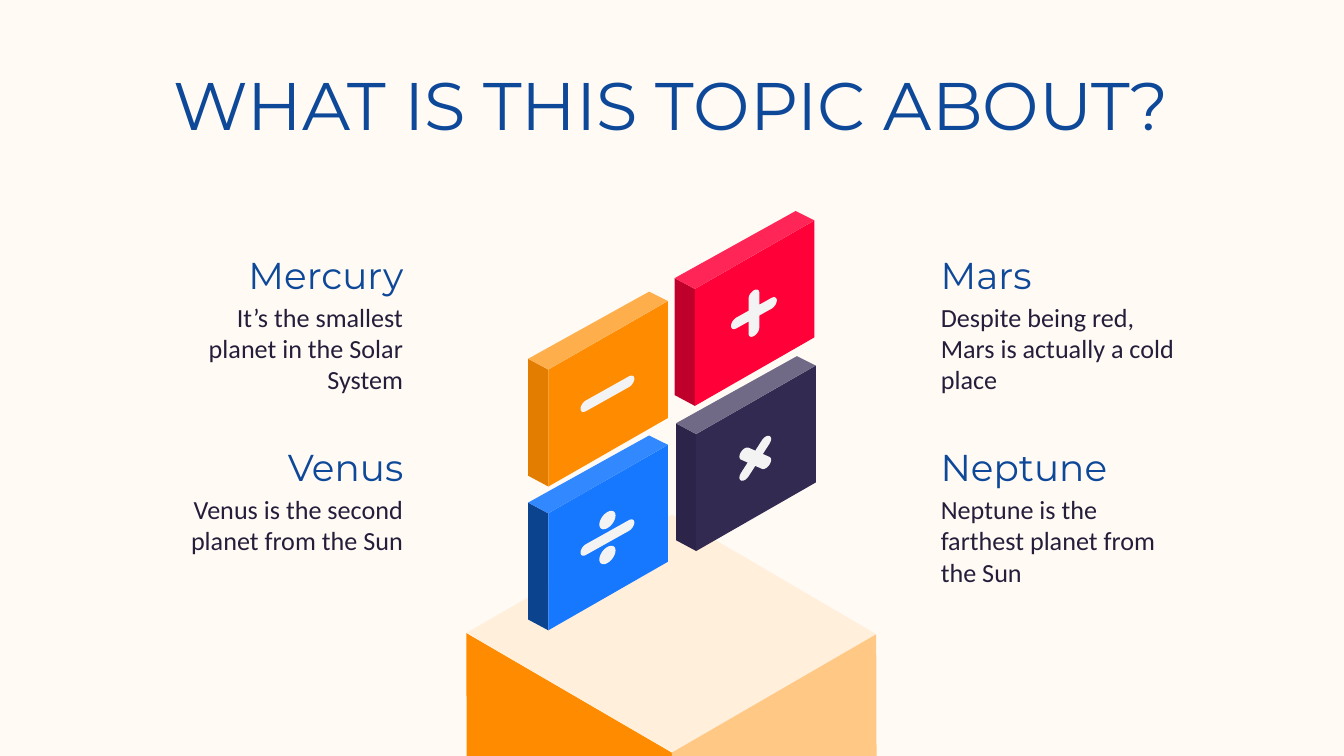
from math import cos, hypot, pi, sin

from lxml.etree import SubElement
from pptx import Presentation
from pptx.dml.color import RGBColor
from pptx.enum.text import MSO_ANCHOR as Anchor, MSO_AUTO_SIZE as AutoSize, PP_ALIGN as Align
from pptx.oxml.ns import qn
from pptx.util import Inches, Pt

SLIDE_W, SLIDE_H = 10, 5.625
BACKGROUND, NAVY, INK, SYMBOL = "FFFAF4", "0D4899", "251E3B", "F3F3F4"
ISO_SLOPE = 0.56      # rise of the tile face per unit of width
STROKE = 0.04         # half the thickness of a symbol's bar
HEADING_DROP = 0.25   # from a heading's top to its description's top

# Eight corners of the plinth and of a tile, relative to their box
PLINTH_FACES = {
    "left": [(0.01, 4.43), (0, 0.88), (1.53, 1.77), (1.53, 4.43)],
    "top": [(1.53, 1.77), (0, 0.88), (1.53, 0), (3.05, 0.89)],
    "right": [(3.05, 0.89), (3.06, 4.43), (1.53, 4.43), (1.53, 1.77)],
}
TILE_FACES = {
    "side": [(0, 0.5), (0, 1.37), (0.15, 1.45), (0.15, 0.58)],
    "front": [(1.04, 0.07), (0.15, 0.58), (0.15, 1.45), (1.04, 0.94)],
    "top": [(0.9, 0), (0, 0.5), (0.15, 0.58), (1.04, 0.07)],
}
SYMBOL_CENTRE = (0.59, 0.76)


def paint(fill, colour):
    fill.solid()
    fill.fore_color.rgb = RGBColor.from_string(colour)


def polygon(slide, origin, points, colour):
    left, top = origin
    corners = [(Inches(left + x), Inches(top + y)) for x, y in points]
    builder = slide.shapes.build_freeform(*corners[0])
    builder.add_line_segments(corners[1:], close=True)
    shape = builder.convert_to_shape()
    paint(shape.fill, colour)
    shape.line.fill.background()
    shape.shadow.inherit = False


def add_solid(slide, origin, faces, colours):
    for face, colour in colours.items():
        polygon(slide, origin, faces[face], colour)


# Symbols, drawn flat and then sheared onto the front of a tile
def arc(centre, start, sweep, radius, steps=16):
    angles = [start + sweep * step / steps for step in range(steps + 1)]
    return [(centre[0] + radius * cos(a), centre[1] + radius * sin(a)) for a in angles]


def bars(arm_count, reach, turn=0):
    outline = []
    for arm in range(arm_count):
        angle = turn + arm * 2 * pi / arm_count
        tip = ((reach - STROKE) * cos(angle), (reach - STROKE) * sin(angle))
        outline += arc(tip, angle - pi / 2, pi, STROKE)
        if arm_count == 4:
            corner, bisector = hypot(STROKE, STROKE), angle + pi / 4
            outline.append((corner * cos(bisector), corner * sin(bisector)))
    return outline


def dot(height):
    return arc((0, height), 0, 2 * pi, 0.06, 32)


MINUS = [bars(2, 0.2)]
PLUS = [bars(4, 0.17)]
TIMES = [bars(4, 0.15, pi / 4)]
DIVIDE = MINUS + [dot(-0.13), dot(0.13)]


def add_tile(slide, origin, side, front, top, symbol):
    add_solid(slide, origin, TILE_FACES, {"side": side, "front": front, "top": top})
    centre = [start + shift for start, shift in zip(origin, SYMBOL_CENTRE)]
    for outline in symbol:
        polygon(slide, centre, [(x, y - ISO_SLOPE * x) for x, y in outline], SYMBOL)


# Text
def write(holder, box, text, size, font, colour, align, anchor=Anchor.TOP):
    holder.left, holder.top, holder.width, holder.height = map(Inches, box)
    frame = holder.text_frame
    frame.text = text
    frame.word_wrap = True
    frame.auto_size = AutoSize.NONE
    frame.vertical_anchor = anchor
    frame.margin_left = frame.margin_right = Inches(0.1)
    frame.margin_top = frame.margin_bottom = Inches(0.1)
    paragraph = frame.paragraphs[0]
    properties = paragraph._p.get_or_add_pPr()
    properties.set("marL", "0")
    properties.set("indent", "0")
    SubElement(properties, qn("a:buNone"))
    paragraph.alignment = align
    paragraph.space_before = Pt(0)
    for run in paragraph.runs:
        run.font.size, run.font.name, run.font.bold = Pt(size), font, False
        run.font.color.rgb = RGBColor.from_string(colour)


def add_planet(slide, box, description_holder, planet, description, align):
    left, top, width, height = box
    heading = slide.shapes.add_textbox(0, 0, 0, 0)
    write(heading, (left, top, width, 0.42), planet, 20, "Montserrat", NAVY,
          align, Anchor.BOTTOM)
    write(description_holder, (left, top + HEADING_DROP, width, height - HEADING_DROP),
          description, 14, "Calibri", INK, align)


def add_planets(slide):
    columns = [(1.28, 1.82, Align.RIGHT), (6.9, 1.99, Align.LEFT)]
    rows = [(1.89, 1.35), (3.32, 1.48)]
    planets = [
        ("Mercury", "It’s the smallest planet in the Solar System"),
        ("Mars", "Despite being red, Mars is actually a cold place"),
        ("Venus", "Venus is the second planet from the Sun"),
        ("Neptune", "Neptune is the farthest planet from the Sun"),
    ]
    cells = [(column, row) for row in rows for column in columns]
    holders = list(slide.placeholders)[1:]
    for holder, ((left, width, align), (top, height)), words in zip(holders, cells, planets):
        add_planet(slide, (left, top, width, height), holder, *words, align)


def add_illustration(slide):
    add_solid(slide, (3.47, 3.83), PLINTH_FACES,
              {"left": "FF8C00", "top": "FFEFDB", "right": "FFC885"})
    tiles = [
        ((3.93, 3.24), "0C438F", "1578FF", "3188FF", DIVIDE),
        ((3.93, 2.17), "E37D00", "FF8C00", "FFAE4C", MINUS),
        ((5.03, 2.65), "2D2549", "332A52", "706A86", TIMES),
        ((5.02, 1.57), "BF002B", "FF0039", "FF2657", PLUS),
    ]
    for tile in tiles:
        add_tile(slide, *tile)


def main():
    deck = Presentation()
    deck.slide_width, deck.slide_height = Inches(SLIDE_W), Inches(SLIDE_H)
    comparison_layout = deck.slide_layouts[4]  # a title and four text placeholders
    slide = deck.slides.add_slide(comparison_layout)
    paint(slide.background.fill, BACKGROUND)
    write(slide.shapes.title, (1.03, 0.37, 7.93, 0.63), "WHAT IS THIS TOPIC ABOUT?",
          36, "Montserrat", NAVY, Align.CENTER)
    add_planets(slide)
    add_illustration(slide)
    deck.save("out.pptx")


if __name__ == "__main__":
    main()
